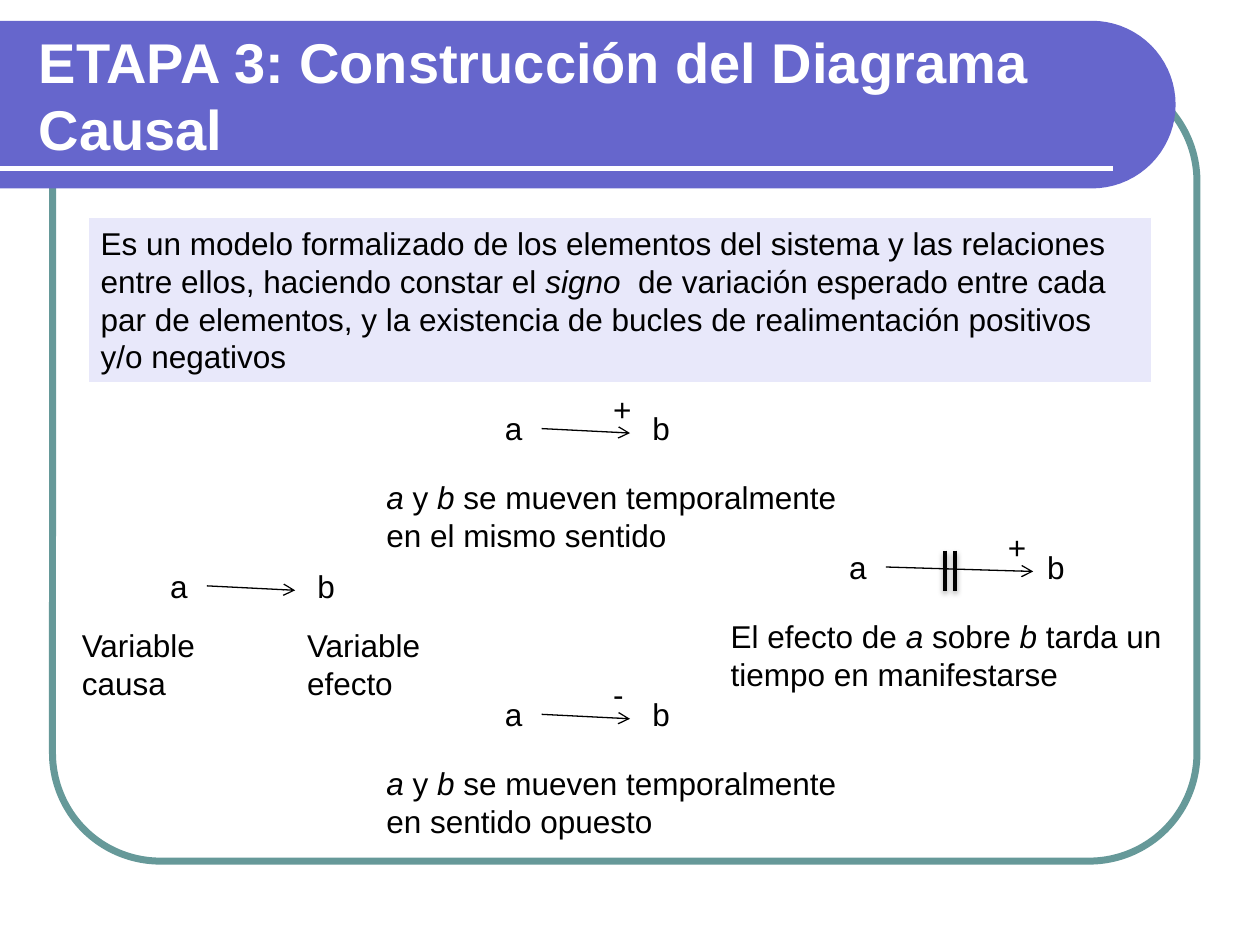
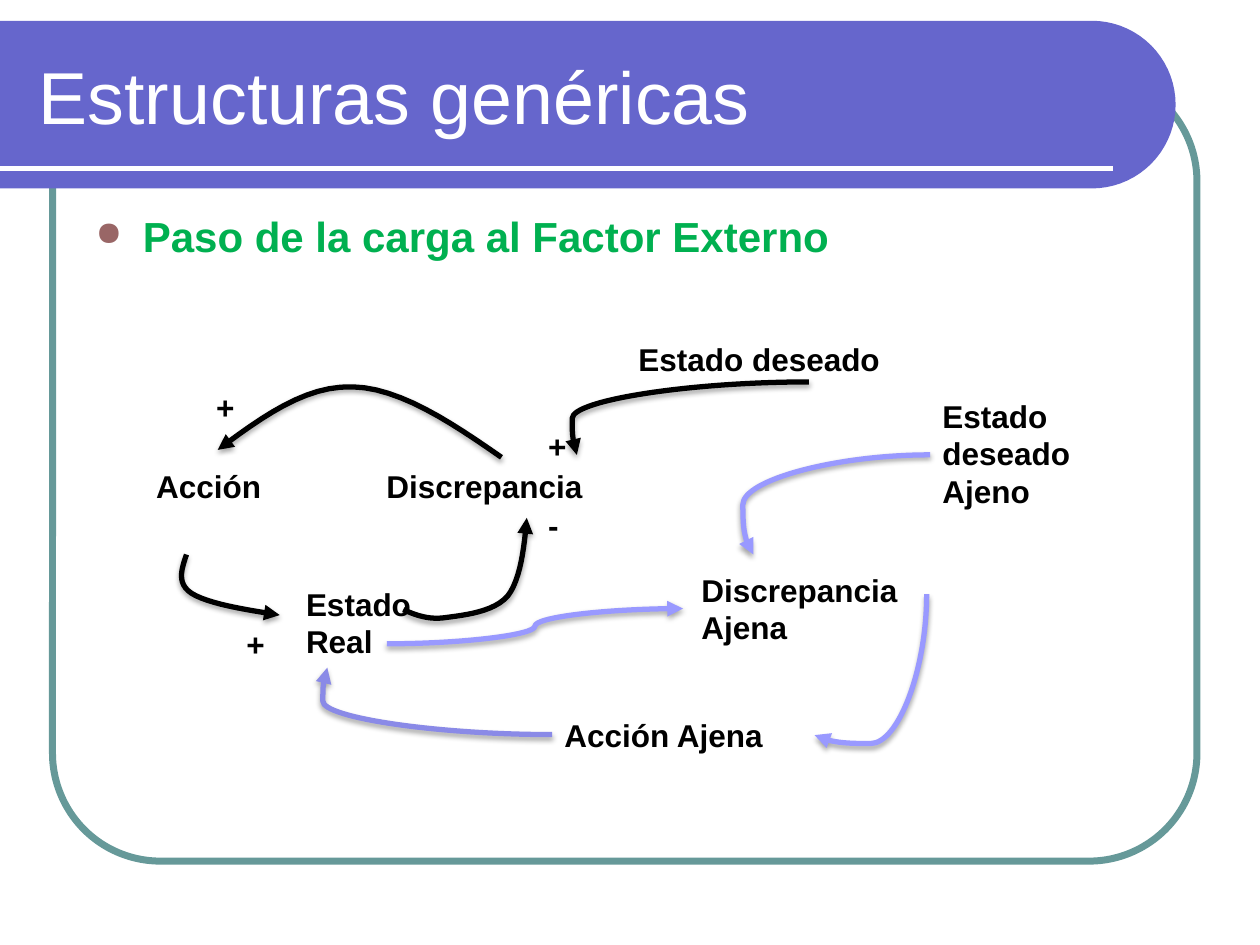
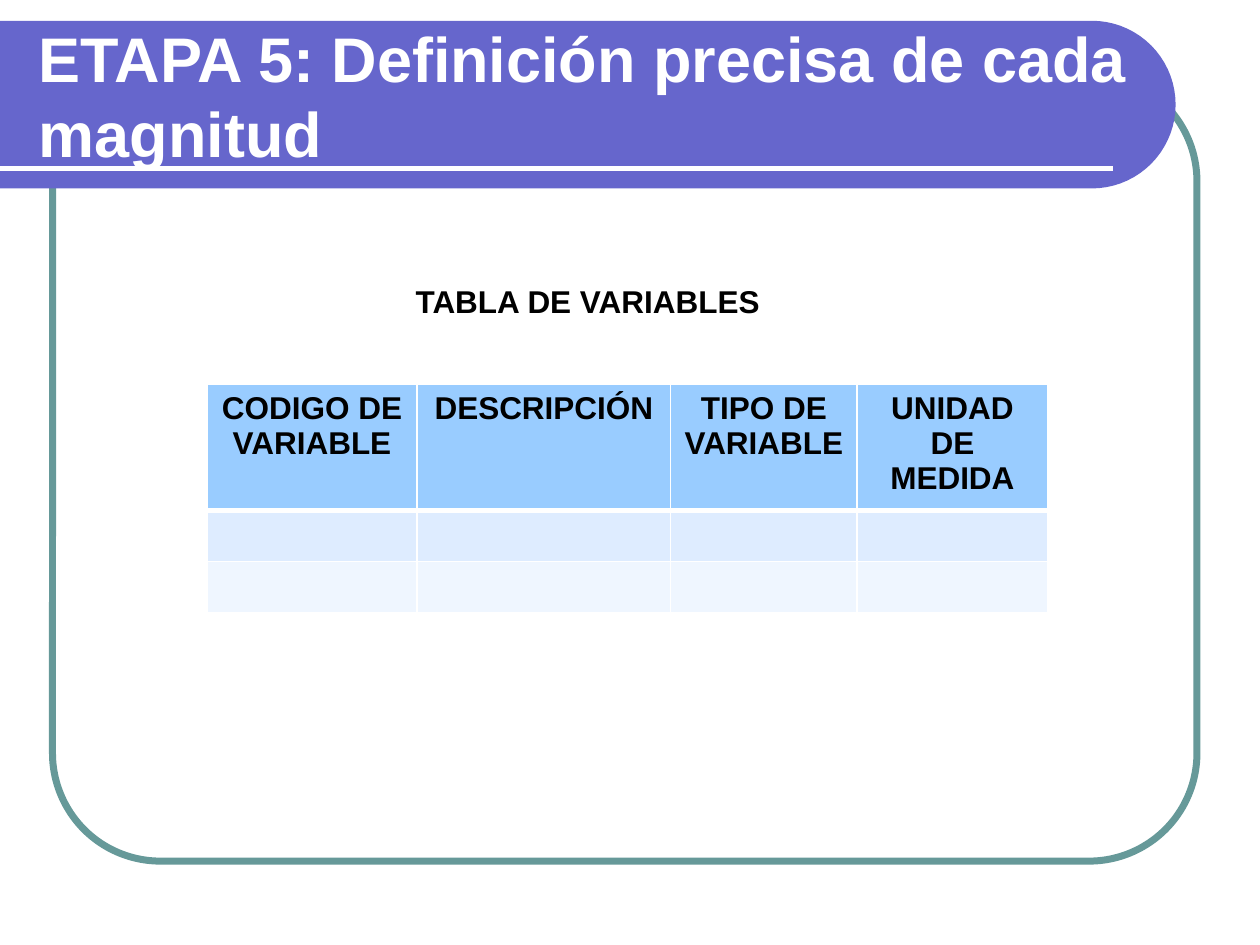
import math
from dataclasses import dataclass

from lxml import etree
from pptx import Presentation
from pptx import util as u
from pptx.dml.color import RGBColor
from pptx.enum import shapes, text
from pptx.oxml import ns


@dataclass(frozen=True)
class Theme:
    font: str = "Arial"
    ink: str = "000000"
    white: str = "FFFFFF"
    band: str = "6666CC"
    frame: str = "669999"
    panel: str = "E8E8FA"
    heading: str = "00B050"
    bullet: str = "996666"
    outside: str = "9999FF"
    outside_action: str = "8A8AE7"
    table_rows: tuple = ("99CCFF", "DEECFF", "EFF6FF")
    body_size: int = 18
    heading_size: int = 24


THEME = Theme()
LINE_HEIGHT = 1.02
TWO_LINES = 1.8


def place(*lengths):
    return [u.Cm(length) for length in lengths]


def apply(target, formats):
    for name, value in formats.items():
        setattr(target, name, value)


def xml_child(parent, tag, **attributes):
    return etree.SubElement(parent, ns.qn(tag), attributes)


def paint(fill, color):
    fill.solid()
    fill.fore_color.rgb = RGBColor.from_string(color)


def stroke(shape, color, width):
    paint(shape.line.fill, color)
    shape.line.width = u.Pt(width)


def finish_line(shape, color, width, head=None, shadow=None):
    """Colour a line; shadow is (opacity in %, distance in points)."""
    stroke(shape, color, width)
    if head:
        xml_child(shape.get_or_add_ln(), "a:tailEnd", type=head)
    effects = xml_child(shape.element.spPr, "a:effectLst")
    if shadow:
        opacity, distance = shadow
        outer = xml_child(effects, "a:outerShdw", blurRad=str(u.Pt(3.1)),
                          dist=str(u.Pt(distance)), dir="5400000",
                          algn="ctr", rotWithShape="0")
        ink = xml_child(outer, "a:srgbClr", val=THEME.ink)
        xml_child(ink, "a:alpha", val=str(opacity * 1000))


def write(para, words, size=THEME.body_size, color=THEME.ink, bold=False):
    """Add words to a paragraph; parts between asterisks are italic."""
    for index, part in enumerate(words.split("*")):
        if part:
            span = para.add_run()
            span.text = part
            apply(span.font, {"name": THEME.font, "size": u.Pt(size),
                              "bold": bold, "italic": index % 2 == 1})
            span.font.color.rgb = RGBColor.from_string(color)


def add_text(page, words, left, top, width, height=LINE_HEIGHT, **style):
    box = page.shapes.add_textbox(*place(left, top, width, height))
    apply(box.text_frame, {"word_wrap": True,
                           "auto_size": text.MSO_AUTO_SIZE.SHAPE_TO_FIT_TEXT})
    for index, words_of_para in enumerate(words.split("\n")):
        frame = box.text_frame
        para = frame.add_paragraph() if index else frame.paragraphs[0]
        write(para, words_of_para, **style)
    return box


def add_line(page, start, end, color=THEME.ink, width=0.75, **finish):
    line = page.shapes.add_connector(shapes.MSO_CONNECTOR.STRAIGHT,
                                     *place(*start, *end))
    finish_line(line, color, width, **finish)


def add_curved_link(page, start, end, color, bend=0.5, turn=0):
    """Draw a curved arrow; bend is where it crosses over, turn is in degrees."""
    link = page.shapes.add_connector(shapes.MSO_CONNECTOR.CURVE,
                                     *place(*start, *end))
    properties = link.element.spPr
    if turn:
        properties.xfrm.set("rot", str(turn * 60000))
    adjustments = properties.find(".//" + ns.qn("a:avLst"))
    xml_child(adjustments, "a:gd", name="adj1", fmla=f"val {round(bend * 100000)}")
    finish_line(link, color, 3, "triangle", (35, 1.8))


def add_outline(page, points, close):
    first, *rest = [place(*point) for point in points]
    builder = page.shapes.build_freeform(*first, scale=1.0)
    builder.add_line_segments(rest, close=close)
    return builder.convert_to_shape()


def bezier_points(controls, steps=12):
    """Sample a chain of cubic curves that share their end points."""
    points = [controls[0]]
    for first in range(0, len(controls) - 1, 3):
        curve = controls[first:first + 4]
        for step in range(1, steps + 1):
            t = step / steps
            weights = [math.comb(3, k) * t**k * (1 - t)**(3 - k) for k in range(4)]
            points.append(tuple(sum(w * point[axis] for w, point in zip(weights, curve))
                                for axis in (0, 1)))
    return points


def add_free_arrow(page, controls):
    arrow = add_outline(page, bezier_points(controls), close=False)
    arrow.fill.background()
    finish_line(arrow, THEME.ink, 3, "triangle", (35, 1.8))


def add_frame(page):
    frame = page.shapes.add_shape(shapes.MSO_SHAPE.ROUNDED_RECTANGLE,
                                  *place(1.06, 1.48, 23.07, 15.88))
    frame.adjustments[0] = 0.137
    frame.fill.background()
    finish_line(frame, THEME.frame, 4)


def add_band(page):
    top, radius, center = 0.42, 1.69, 22.01
    angles = [math.radians(degree) for degree in range(-90, 91, 5)]
    arc = [(center + radius * math.cos(angle), top + radius + radius * math.sin(angle))
           for angle in angles]
    band = add_outline(page, [(0, top), *arc, (0, top + 2 * radius)], close=True)
    band.shadow.inherit = False
    paint(band.fill, THEME.band)
    band.line.fill.background()
    add_line(page, (0, 3.39), (22.44, 3.39), THEME.white, 3)


def dress_layout(layout, page):
    """Draw the shared decoration on a page and hand it to the layout."""
    for holder in list(layout.placeholders):
        if holder.placeholder_format.idx != 0:
            holder.element.getparent().remove(holder.element)
    add_frame(page)
    add_band(page)
    for shape in list(page.shapes):
        if not shape.is_placeholder:
            layout.shapes.element.append(shape.element)


def set_title(page, words, size, bold=True, width=22.28):
    title = page.shapes.title
    left, top, width, height = place(0.53, 0.64, width, 2.54)
    apply(title, {"left": left, "top": top, "width": width, "height": height})
    apply(title.text_frame, {"word_wrap": True,
                             "auto_size": text.MSO_AUTO_SIZE.NONE,
                             "vertical_anchor": text.MSO_ANCHOR.MIDDLE})
    para = title.text_frame.paragraphs[0]
    para.alignment = text.PP_ALIGN.LEFT
    write(para, words, size, THEME.white, bold)


def add_panel(page, words):
    panel = page.shapes.add_shape(shapes.MSO_SHAPE.RECTANGLE,
                                  *place(1.78, 4.39, 21.44, 3.33))
    panel.shadow.inherit = False
    paint(panel.fill, THEME.panel)
    stroke(panel, THEME.white, 0.75)
    apply(panel.text_frame, {"word_wrap": True,
                             "vertical_anchor": text.MSO_ANCHOR.TOP})
    para = panel.text_frame.paragraphs[0]
    para.alignment = text.PP_ALIGN.LEFT
    write(para, words)


def add_relation(page, left, top, sign=None, caption=None, length=1.78, effect=2.97):
    """Draw a → b; effect is the distance from a to b."""
    add_text(page, "a", left, top, 0.99)
    start = left + 0.99
    add_line(page, (start, top + 0.51), (start + length, top + 0.6), head="arrow")
    add_text(page, "b", left + effect, top, 1.75)
    if sign:
        add_text(page, sign, left + effect - 0.79, top - 0.4, 0.79)
    if caption:
        add_text(page, caption, left - 2.39, top + 1.39, 9.73, TWO_LINES)


def add_bullet_heading(page, words):
    box = page.shapes.add_textbox(*place(1.68, 4.11, 22.02, 12.27))
    box.text_frame.word_wrap = True
    para = box.text_frame.paragraphs[0]
    properties = para._p.get_or_add_pPr()
    indent = u.Cm(0.95)
    apply_indent = {"marL": indent, "indent": -indent}
    for name, value in apply_indent.items():
        properties.set(name, str(value))
    color = xml_child(properties, "a:buClr")
    xml_child(color, "a:srgbClr", val=THEME.bullet)
    xml_child(properties, "a:buSzPct", val="80000")
    xml_child(properties, "a:buChar", char="●")
    write(para, words, THEME.heading_size, THEME.heading, bold=True)


def set_borders(cell, top, bottom):
    properties = cell._tc.get_or_add_tcPr()
    for side, width in {"L": 1, "R": 1, "T": top, "B": bottom}.items():
        line = xml_child(properties, f"a:ln{side}", w=str(u.Pt(width)))
        fill = xml_child(line, "a:solidFill")
        xml_child(fill, "a:srgbClr", val=THEME.white)


def add_variable_table(page, headers, widths, heights):
    frame = page.shapes.add_table(len(heights), len(widths),
                                  *place(4.17, 7.75, sum(widths), sum(heights)))
    table = frame.table
    table.horz_banding = False
    for column, width in zip(table.columns, widths):
        column.width = u.Cm(width)
    for index, (row, height) in enumerate(zip(table.rows, heights)):
        row.height = u.Cm(height)
        for cell in row.cells:
            set_borders(cell, top=3 if index == 1 else 1, bottom=3 if index == 0 else 1)
            paint(cell.fill, THEME.table_rows[index])
    for cell, words in zip(table.rows[0].cells, headers):
        para = cell.text_frame.paragraphs[0]
        para.alignment = text.PP_ALIGN.CENTER
        write(para, words, bold=True)


def build_causal_diagram(page):
    set_title(page, "ETAPA 3: Construcción del Diagrama Causal", 32)
    add_panel(page, "Es un modelo formalizado de los elementos del sistema y las "
                    "relaciones entre ellos, haciendo constar el *signo * de variación "
                    "esperado entre cada par de elementos, y la existencia de bucles "
                    "de realimentación positivos y/o negativos")
    add_relation(page, 3.18, 11.3)
    for words, left in (("Variable causa", 1.4), ("Variable efecto", 5.94)):
        add_text(page, words, left, 12.5, 2.97, TWO_LINES)
    add_relation(page, 9.93, 8.13, "+",
                 "*a *y *b *se mueven temporalmente en el mismo sentido")
    add_relation(page, 9.93, 13.89, "-",
                 "*a *y *b *se mueven temporalmente en sentido opuesto")
    add_relation(page, 16.87, 10.92, "+",
                 "El efecto de *a *sobre* b *tarda un tiempo en manifestarse",
                 length=2.97, effect=3.99)
    for delay_bar in (19.05, 19.25):
        add_line(page, (delay_bar, 11.1), (delay_bar, 11.91), width=2, shadow=(38, 1.6))


def build_generic_structure(page):
    set_title(page, "Estructuras genéricas", 42, bold=False)
    add_bullet_heading(page, "Paso de la carga al Factor Externo")
    labels = [
        ("Estado deseado", 12.62, 6.73, 6.07),
        ("Discrepancia", 7.54, 9.3, 4.65),
        ("Estado Real", 5.92, 11.66, 2.87, TWO_LINES),
        ("Acción", 2.9, 9.3, 3.43),
        ("Acción Ajena", 11.13, 14.3, 5.28),
        ("Discrepancia Ajena", 13.89, 11.38, 4.65, TWO_LINES),
        ("Estado\ndeseado Ajeno", 18.75, 7.87, 4.52, 2.57),
        ("+", 10.8, 8.48, 0.61),
        ("-", 10.8, 10.08, 0.61),
        ("+", 4.11, 7.7, 0.61),
        ("+", 4.72, 12.47, 0.66),
    ]
    for label in labels:
        add_text(page, *label, bold=True)

    state_to_gap = [(8.13, 12.29), (8.38, 12.4), (8.64, 12.5), (8.99, 12.45),
                    (9.35, 12.4), (9.96, 12.34), (10.24, 12.01),
                    (10.49, 11.68), (10.57, 11.05), (10.62, 10.44)]
    gap_to_action = [(10.11, 9.22), (9.09, 8.51), (8.05, 7.82), (7.11, 7.8),
                     (6.15, 7.77), (5.28, 8.41), (4.39, 9.07)]
    action_to_state = [(3.76, 11.18), (3.66, 11.48), (3.56, 11.76), (3.86, 11.96),
                       (4.19, 12.17), (4.93, 12.29), (5.64, 12.4)]
    for controls in (state_to_gap, gap_to_action, action_to_state):
        add_free_arrow(page, controls)

    links = [
        ((16.31, 7.7), (11.63, 9.17), THEME.ink, 1.02),
        ((11.13, 14.81), (6.6, 13.46), THEME.outside_action, 1.02),
        ((16.13, 12.27), (18.97, 14.53), THEME.outside, 1.06, 90),
        ((7.8, 12.98), (13.77, 12.27), THEME.outside),
        ((18.75, 9.17), (15.19, 11.18), THEME.outside, 1.06),
    ]
    for link in links:
        add_curved_link(page, *link)


def build_variable_definition(page):
    set_title(page, "ETAPA 5: Definición precisa de cada magnitud", 36, width=23.06)
    add_variable_table(
        page,
        ["CODIGO DE VARIABLE", "DESCRIPCIÓN", "TIPO DE VARIABLE", "UNIDAD DE MEDIDA"],
        widths=[4.24, 5.11, 3.76, 3.84], heights=[2.54, 1.03, 1.03])
    add_text(page, "TABLA DE VARIABLES", 8.13, 5.56, 7.75, bold=True)


def main():
    deck = Presentation()
    deck.slide_width, deck.slide_height = place(25.4, 19.05)
    layout = deck.slide_layouts.get_by_name("Title Only")
    builders = (build_causal_diagram, build_generic_structure, build_variable_definition)
    pages = [deck.slides.add_slide(layout) for _ in builders]
    dress_layout(layout, pages[0])
    for build, page in zip(builders, pages):
        build(page)
    deck.save("out.pptx")


if __name__ == "__main__":
    main()
